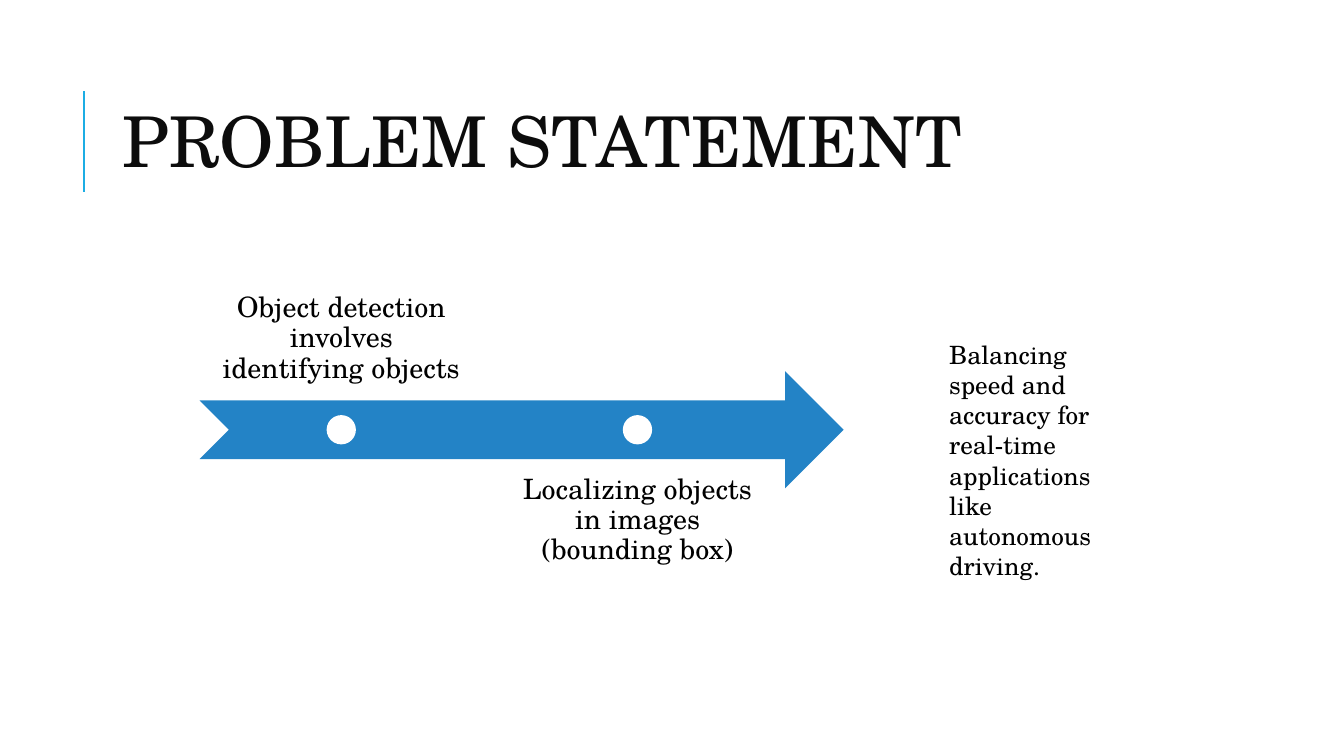
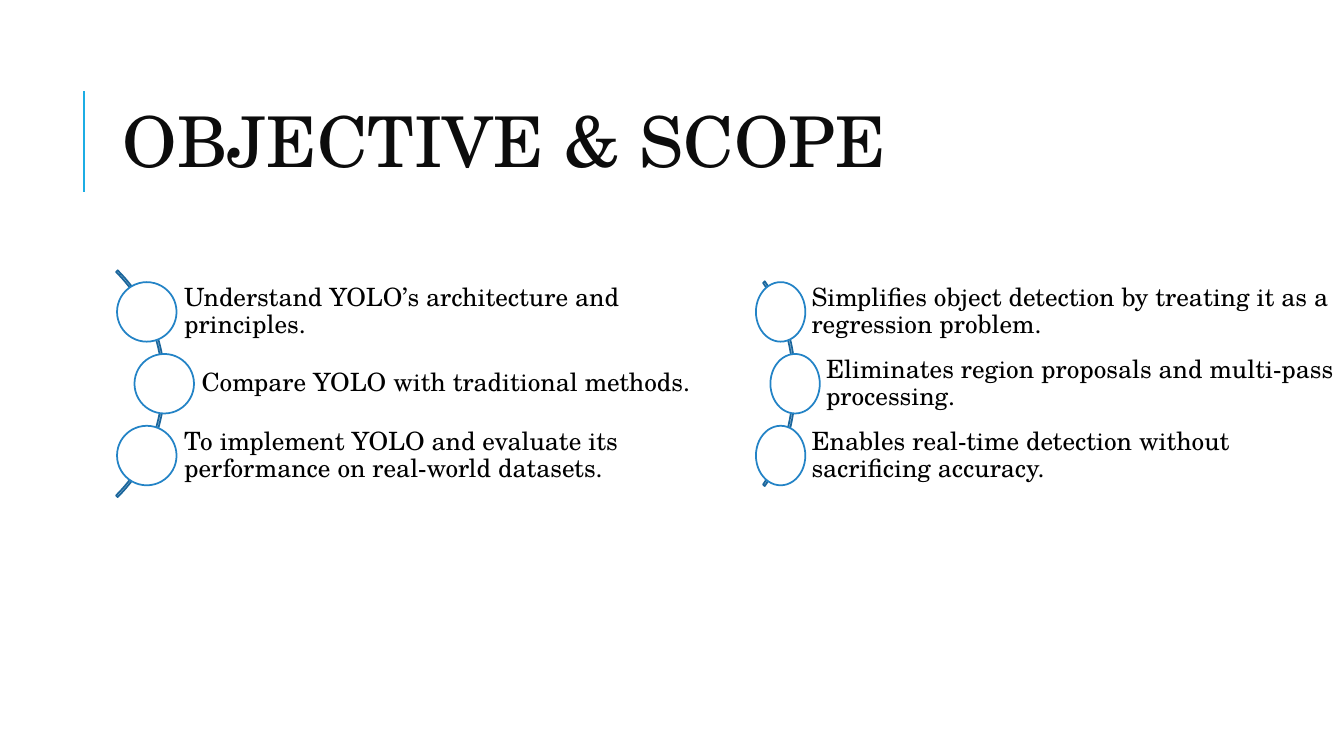
from pptx import Presentation
from pptx.dml.color import RGBColor
from pptx.enum.shapes import MSO_CONNECTOR as Conn, MSO_SHAPE as Kind
from pptx.enum.text import MSO_ANCHOR as Anchor, MSO_AUTO_SIZE as Fit, PP_ALIGN as Align
from pptx.oxml.ns import qn
from pptx.util import Cm, Pt
from lxml.etree import SubElement

FONT = "TeX Gyre Schola"
ACCENT, BLUE, DARK = "1CADE4", "2383C6", "1B669C"
INK, BLACK, WHITE = "0C0C0C", "000000", "FFFFFF"


def color(code):
    return RGBColor.from_string(code)


def write(shape, text, size, ink=BLACK, gap=1.0, align=Align.LEFT,
          anchor=Anchor.TOP, pads=(0.25, 0.13, 0.25, 0.13)):
    frame = shape.text_frame
    frame.word_wrap = True
    frame.auto_size = Fit.NONE
    frame.vertical_anchor = anchor
    (frame.margin_left, frame.margin_top,
     frame.margin_right, frame.margin_bottom) = map(Cm, pads)
    para = frame.paragraphs[0]
    para.alignment = align
    para.line_spacing = gap
    run = para.add_run()
    run.text = text
    run.font.name = FONT
    run.font.size = Pt(size)
    run.font.color.rgb = color(ink)


def label(slide, box, text, size, **style):
    shape = slide.shapes.add_textbox(*map(Cm, box))
    write(shape, text, size, **style)
    return shape


def draw(slide, kind, box, fill=None, line=None):
    shape = slide.shapes.add_shape(kind, *map(Cm, box))
    shape.shadow.inherit = False
    if fill:
        shape.fill.solid()
        shape.fill.fore_color.rgb = color(fill)
    else:
        shape.fill.background()
    if line:
        shape.line.color.rgb = color(line)
        shape.line.width = Pt(1.25)
    else:
        shape.line.fill.background()
    return shape


def start(deck, text):
    slide = deck.slides.add_slide(deck.slide_layouts[5])
    rule = slide.shapes.add_connector(
        Conn.STRAIGHT, Cm(2.12), Cm(4.83), Cm(2.12), Cm(2.29))
    rule.line.color.rgb = color(ACCENT)
    rule.line.width = Pt(1.5)
    SubElement(rule._element.spPr, qn("a:effectLst"))
    title = slide.shapes.title
    title.left, title.top, title.width, title.height = map(
        Cm, (2.84, 1.63, 27, 4.17))
    write(title, text, 50, ink=INK, gap=0.8, anchor=Anchor.MIDDLE)
    return slide


def timeline(slide, box, steps):
    left, top, width, height = box
    unit = height / 2.5
    dot, wide, pitch = unit / 4, width * 0.44, width * 0.46
    draw(slide, Kind.NOTCHED_RIGHT_ARROW,
         (left, top + unit * 0.75, width, unit), BLUE)
    for i, text in enumerate(steps):
        x = left + i * pitch
        label(slide, (x, top + i * unit * 1.5, wide, unit), text, 20,
              gap=0.9, align=Align.CENTER, pads=(0.41,) * 4,
              anchor=Anchor.TOP if i % 2 else Anchor.BOTTOM)
        draw(slide, Kind.OVAL,
             (x + (wide - dot) / 2, top + height / 2 - dot / 2, dot, dot), WHITE)


def chain(slide, box, items, scale=1.0):
    left, top, width = box
    ring, pitch, arc = 1.5, 1.81, 8.08
    mid = top + pitch + ring / 2
    curve = draw(slide, Kind.BLOCK_ARC,
                 (left - 6.88 * scale, mid - arc / 2, arc * scale, arc), line=DARK)
    for i, value in enumerate((189, 27, 0.007 / scale)):
        curve.adjustments[i] = value
    pads = [pad * scale for pad in (0.94, 0.12, 0.12, 0.12)]
    for i, text in enumerate(items):
        x = left + (i % 2) * 0.44 * scale
        y = top + i * pitch
        edge = x + ring * scale / 2
        row = label(slide, (edge, y + 0.15, left + width - edge, 1.2), text, 18,
                    gap=0.9, anchor=Anchor.MIDDLE, pads=pads)
        row.fill.solid()
        row.fill.fore_color.rgb = color(WHITE)
        draw(slide, Kind.OVAL, (x, y, ring * scale, ring), WHITE, BLUE)


def problem(deck):
    slide = start(deck, "PROBLEM STATEMENT")
    timeline(slide, (5.03, 7.14, 16.23, 7.38), (
        "Object detection involves identifying objects",
        "Localizing objects in images (bounding box)"))
    label(slide, (23.67, 8.41, 5.16, 4.88),
          "Balancing speed and accuracy for real-time applications "
          "like autonomous driving.", 18)


def scope(deck):
    slide = start(deck, "OBJECTIVE & SCOPE")
    chain(slide, (2.95, 7.11, 15.92), (
        "Understand YOLO’s architecture and principles.",
        "Compare YOLO with traditional methods.",
        "To implement YOLO and evaluate its performance on real-world datasets."))
    chain(slide, (19.05, 7.11, 14.76), (
        "Simplifies object detection by treating it as a regression problem.",
        "Eliminates region proposals and multi-pass processing.",
        "Enables real-time detection without sacrificing accuracy."), 0.83)


def main():
    deck = Presentation()
    deck.slide_width, deck.slide_height = Cm(33.87), Cm(19.05)
    problem(deck)
    scope(deck)
    deck.save("out.pptx")


if __name__ == "__main__":
    main()
